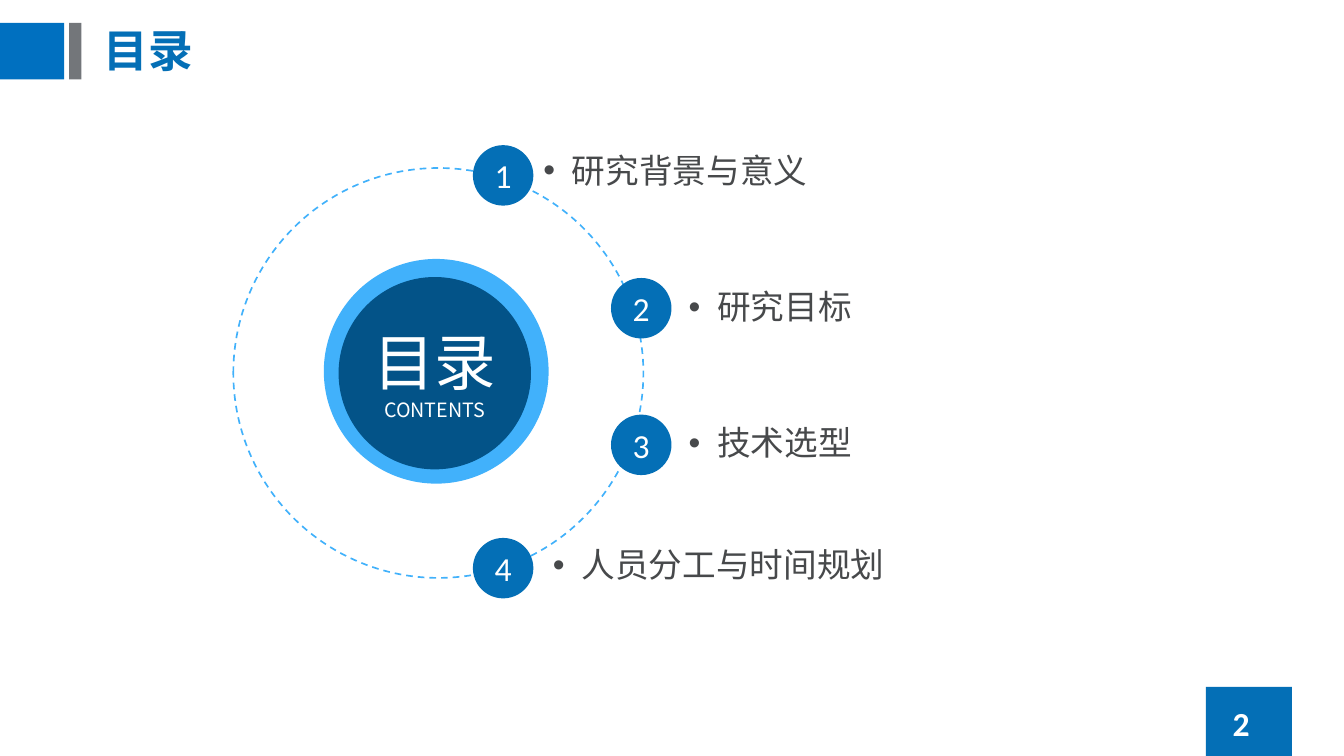
from dataclasses import dataclass

from lxml.etree import SubElement
from pptx import Presentation
from pptx.dml.color import RGBColor
from pptx.enum.dml import MSO_LINE
from pptx.enum.shapes import MSO_SHAPE
from pptx.enum.text import MSO_ANCHOR, PP_ALIGN
from pptx.oxml.ns import qn
from pptx.util import Cm, Pt


@dataclass(frozen=True)
class Theme:
    blue: str = "046FB6"
    tab_blue: str = "0070C0"
    tab_grey: str = "73767A"
    sky: str = "41B1FB"
    navy: str = "035388"
    ink: str = "47494B"
    white: str = "FFFFFF"
    chinese: str = "Noto Sans CJK SC"
    latin: str = "Calibri"
    title: float = 26.6
    hub: float = 36.6
    hub_caption: float = 11.7
    body: float = 20


theme = Theme()

deck = Presentation()
deck.slide_width, deck.slide_height = Cm(28.22), Cm(15.88)
slide = deck.slides.add_slide(deck.slide_layouts[6])


def draw(kind, left, top, width, height, fill=None):
    shape = slide.shapes.add_shape(kind, Cm(left), Cm(top), Cm(width), Cm(height))
    shape.shadow.inherit = False
    shape.line.fill.background()
    if fill:
        shape.fill.solid()
        shape.fill.fore_color.rgb = RGBColor.from_string(fill)
    else:
        shape.fill.background()
    return shape


def write(paragraph, text, size, color, font, align=PP_ALIGN.CENTER, bold=False):
    paragraph.alignment = align
    frame_run = paragraph.add_run()
    frame_run.text = text
    frame_run.font.size = Pt(size)
    frame_run.font.bold = bold
    frame_run.font.name = font
    frame_run.font.color.rgb = RGBColor.from_string(color)
    SubElement(frame_run.font._element, qn("a:ea"), typeface=font)


draw(MSO_SHAPE.RECTANGLE, 0, 0.48, 1.35, 1.19, theme.tab_blue)
draw(MSO_SHAPE.RECTANGLE, 1.45, 0.48, 0.26, 1.19, theme.tab_grey)
draw(MSO_SHAPE.RECTANGLE, 25.32, 14.43, 1.81, 1.45, theme.blue)

page_number = slide.shapes.add_textbox(Cm(24.13), Cm(14.68), Cm(3.86), Cm(1.02)).text_frame
page_number.word_wrap = True
page_number.vertical_anchor = MSO_ANCHOR.MIDDLE
write(page_number.paragraphs[0], "2", theme.body, theme.white, theme.latin, bold=True)

heading = slide.shapes.add_textbox(Cm(1.93), Cm(0.2), Cm(25.12), Cm(1.83)).text_frame
heading.word_wrap = True
heading.vertical_anchor = MSO_ANCHOR.MIDDLE
heading.paragraphs[0].line_spacing = 0.9
write(heading.paragraphs[0], "目录", theme.title, theme.blue, theme.chinese, PP_ALIGN.LEFT, True)

draw(MSO_SHAPE.OVAL, 6.8, 5.44, 4.72, 4.72, theme.sky)
orbit = draw(MSO_SHAPE.OVAL, 4.9, 3.53, 8.61, 8.61)
orbit.line.color.rgb = RGBColor.from_string(theme.sky)
orbit.line.width = Pt(1)
orbit.line.dash_style = MSO_LINE.DASH

hub = draw(MSO_SHAPE.OVAL, 7.11, 5.82, 4.04, 4.04, theme.navy).text_frame
hub.vertical_anchor = MSO_ANCHOR.MIDDLE
hub.margin_left = hub.margin_right = hub.margin_top = hub.margin_bottom = 0
write(hub.paragraphs[0], "目录", theme.hub, theme.white, theme.chinese)
write(hub.add_paragraph(), "CONTENTS", theme.hub_caption, theme.white, theme.chinese)

chapters = [
    ("研究背景与意义", 9.93, 3.05, 11.33, 3.62),
    ("研究目标", 12.83, 5.84, 14.38, 6.49),
    ("技术选型", 12.83, 8.71, 14.38, 9.35),
    ("人员分工与时间规划", 9.93, 11.3, 11.53, 11.91),
]
badge_size, label_width, label_height = 1.27, 10.9, 1.5

for number, (chapter, badge_left, badge_top, label_left, label_middle) in enumerate(chapters, 1):
    badge = draw(MSO_SHAPE.OVAL, badge_left, badge_top, badge_size, badge_size, theme.blue).text_frame
    badge.vertical_anchor = MSO_ANCHOR.MIDDLE
    write(badge.paragraphs[0], str(number), theme.body, theme.white, theme.latin)

    label = slide.shapes.add_textbox(
        Cm(label_left), Cm(label_middle - label_height / 2), Cm(label_width), Cm(label_height)
    ).text_frame
    label.word_wrap = True
    label.vertical_anchor = MSO_ANCHOR.MIDDLE
    label.margin_left = Cm(0.08)
    label.margin_right = label.margin_top = label.margin_bottom = 0
    entry = label.paragraphs[0]
    entry.line_spacing = 0.9
    entry.space_before = Pt(7.5)
    write(entry, chapter, theme.body, theme.ink, theme.chinese, PP_ALIGN.LEFT)
    indents = entry._p.get_or_add_pPr()
    indents.set("marL", str(Cm(0.6)))
    indents.set("indent", str(-Cm(0.6)))
    SubElement(indents, qn("a:buFont"), typeface="Arial")
    SubElement(indents, qn("a:buChar"), char="•")

deck.save("out.pptx")
